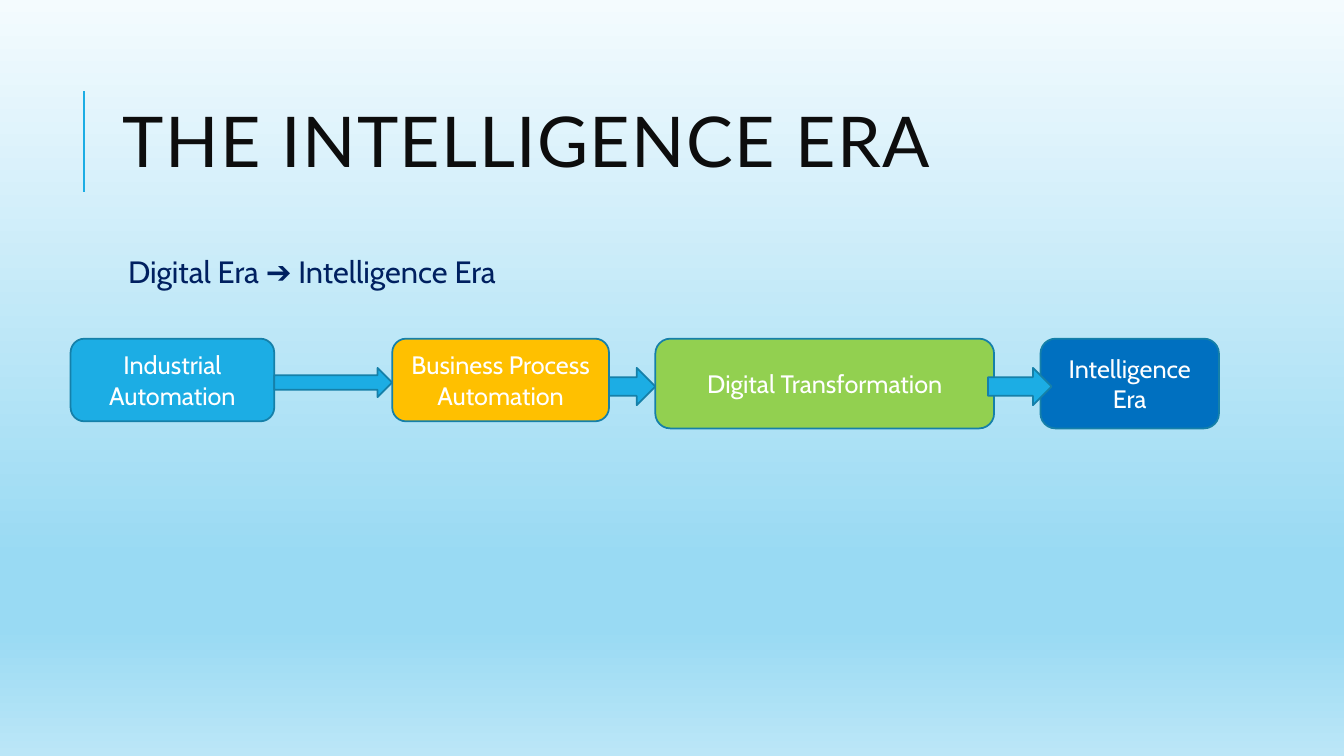
from lxml import etree
from pptx import Presentation
from pptx.dml.color import RGBColor
from pptx.enum.shapes import MSO_CONNECTOR, MSO_SHAPE
from pptx.enum.text import MSO_ANCHOR, PP_ALIGN
from pptx.oxml.ns import qn
from pptx.util import Inches, Pt

BLUE = RGBColor(0x1C, 0xAD, 0xE4)
OUTLINE = RGBColor(0x15, 0x80, 0xA9)
AMBER = RGBColor(0xFF, 0xC0, 0x00)
GREEN = RGBColor(0x92, 0xD0, 0x50)
DEEP_BLUE = RGBColor(0x00, 0x70, 0xC0)
NAVY = RGBColor(0x00, 0x20, 0x60)
NEAR_BLACK = RGBColor(0x0D, 0x0D, 0x0D)
WHITE = RGBColor(0xFF, 0xFF, 0xFF)
SKY = [
    (0, RGBColor(0xF4, 0xFB, 0xFE)),
    (74, RGBColor(0x99, 0xDA, 0xF3)),
    (83, RGBColor(0x99, 0xDA, 0xF3)),
    (100, RGBColor(0xBB, 0xE6, 0xF7)),
]

# Left, width, height, colour and label of each era
ERAS = [
    (0, 2.02, 0.82, BLUE, "Industrial Automation"),
    (3.19, 2.15, 0.82, AMBER, "Business Process Automation"),
    (5.8, 3.36, 0.89, GREEN, "Digital Transformation"),
    (9.62, 1.77, 0.89, DEEP_BLUE, "Intelligence Era"),
]
# Left, width and height of each arrow between eras
ARROWS = [(2.02, 1.17, 0.29), (5.34, 0.46, 0.37), (9.1, 0.63, 0.37)]
ARROW_DROP = 0.29


def set_background(s):
    fill = s.background.fill
    fill.gradient()
    fill.gradient_angle = 270
    stops = next(s._element.iter(qn("a:gsLst")))
    for stop in list(stops):
        stops.remove(stop)
    for position, color in SKY:
        stop = etree.SubElement(stops, qn("a:gs"), pos=str(position * 1000))
        etree.SubElement(stop, qn("a:srgbClr"), val=str(color))


def set_text(tf, text, font, size, color):
    tf.word_wrap = True
    p = tf.paragraphs[0]
    p.text = text
    r = p.runs[0]
    r.font.name = font
    r.font.size = Pt(size)
    r.font.color.rgb = color
    return p


def add_title(s, x, y, w, h):
    rule_x = Inches(x - 0.29)
    rule = s.shapes.add_connector(
        MSO_CONNECTOR.STRAIGHT, rule_x, Inches(y + 1.26), rule_x, Inches(y + 0.26))
    rule.line.color.rgb = BLUE
    rule.line.width = Pt(1.5)
    etree.SubElement(rule._element.spPr, qn("a:effectLst"))

    tf = s.shapes.add_textbox(Inches(x), Inches(y), Inches(w), Inches(h)).text_frame
    tf.vertical_anchor = MSO_ANCHOR.MIDDLE
    p = set_text(tf, "THE INTELLIGENCE ERA", "Lato", 50, NEAR_BLACK)
    p.line_spacing = 0.8
    p.runs[0]._r.get_or_add_rPr().set("spc", "100")


def add_body(s, x, y, w, h):
    tf = s.shapes.add_textbox(Inches(x), Inches(y), Inches(w), Inches(h)).text_frame
    tf.margin_left = tf.margin_right = Inches(0.05)
    tf.margin_top = tf.margin_bottom = Inches(0.05)
    p = set_text(tf, "Digital Era ➔ Intelligence Era", "Cabin", 22, NAVY)
    p.line_spacing = 0.9
    p.space_before = Pt(12)
    p.space_after = Pt(2)
    p._p.get_or_add_pPr().set("marL", str(Inches(0.1)))


def add_block(s, kind, x, y, w, h, color):
    sp = s.shapes.add_shape(kind, Inches(x), Inches(y), Inches(w), Inches(h))
    sp.shadow.inherit = False
    sp.fill.solid()
    sp.fill.fore_color.rgb = color
    sp.line.color.rgb = OUTLINE
    sp.line.width = Pt(1.25)
    return sp


def add_timeline(s, x, y):
    for left, w, h, color, label in ERAS:
        sp = add_block(s, MSO_SHAPE.ROUNDED_RECTANGLE, x + left, y, w, h, color)
        sp.text_frame.vertical_anchor = MSO_ANCHOR.MIDDLE
        p = set_text(sp.text_frame, label, "Cabin", 18, WHITE)
        p.alignment = PP_ALIGN.CENTER
    for left, w, h in ARROWS:
        add_block(s, MSO_SHAPE.RIGHT_ARROW, x + left, y + ARROW_DROP, w, h, BLUE)


def main():
    prs = Presentation()
    prs.slide_width = Inches(13.33)
    prs.slide_height = Inches(7.5)
    s = prs.slides.add_slide(prs.slide_layouts[6])
    set_background(s)
    add_title(s, 1.12, 0.64, 10.63, 1.64)
    add_body(s, 1.12, 2.5, 10.63, 4.4)
    add_timeline(s, 0.7, 3.36)
    prs.save("out.pptx")


if __name__ == "__main__":
    main()
